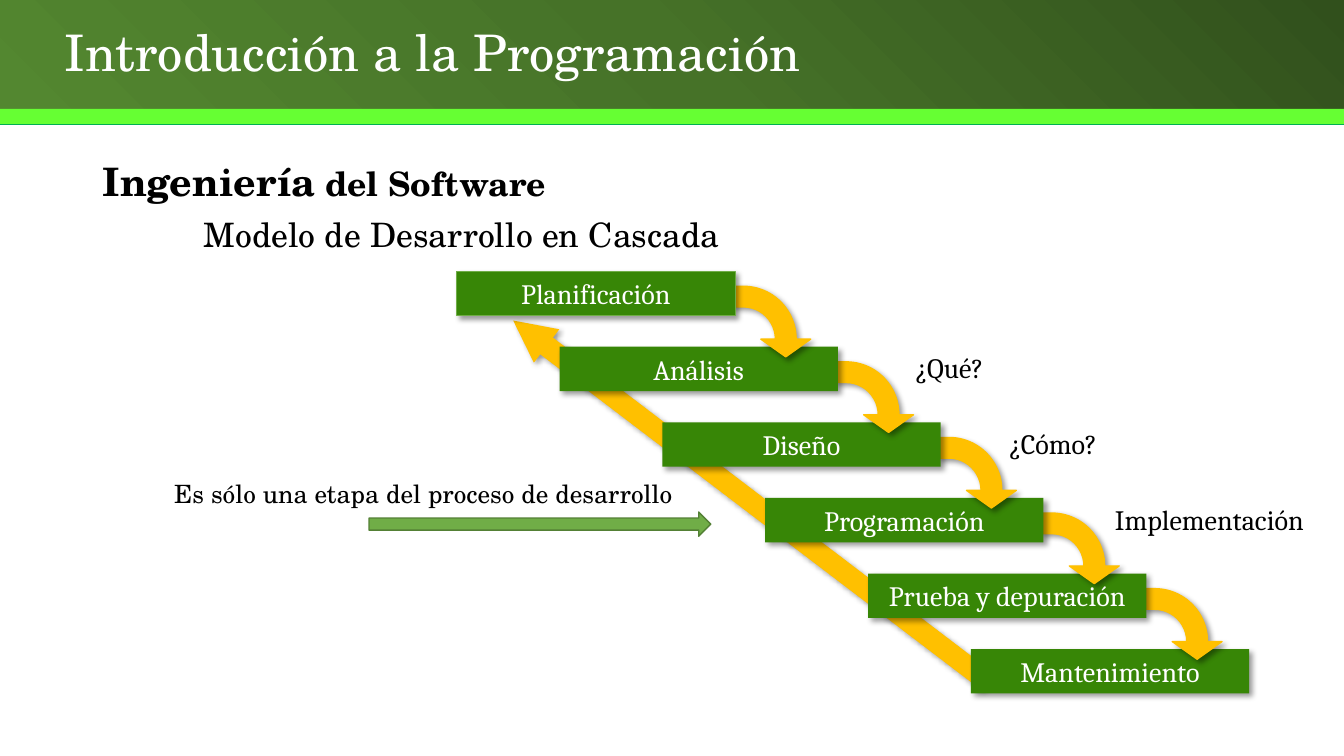
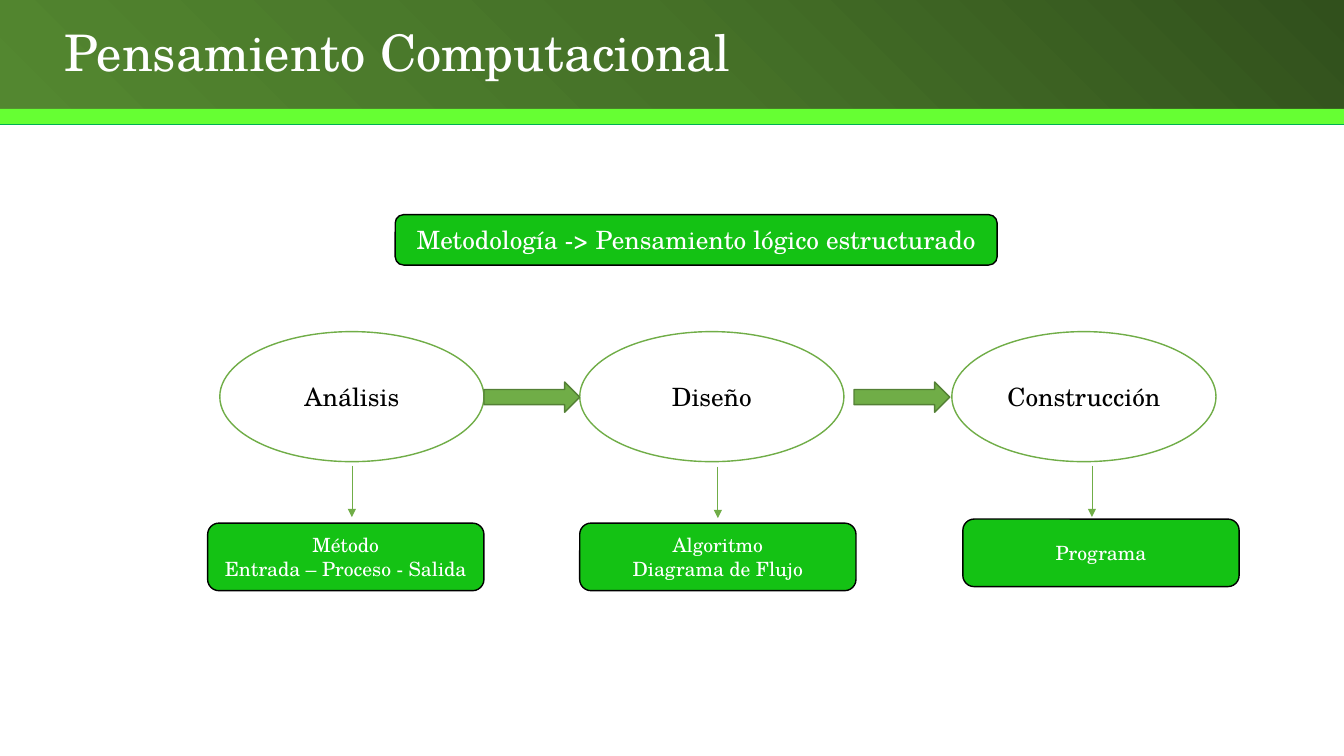
from lxml import etree
from pptx import Presentation
from pptx.dml.color import RGBColor
from pptx.enum.shapes import MSO_CONNECTOR, MSO_SHAPE
from pptx.enum.text import MSO_ANCHOR, MSO_AUTO_SIZE, PP_ALIGN
from pptx.oxml.ns import qn
from pptx.util import Inches, Pt

RECTANGLE = MSO_SHAPE.RECTANGLE
ROUNDED = MSO_SHAPE.ROUNDED_RECTANGLE
ELLIPSE = MSO_SHAPE.OVAL
RIGHT_ARROW = MSO_SHAPE.RIGHT_ARROW
BENT_ARROW = MSO_SHAPE.BENT_ARROW
STRAIGHT = MSO_CONNECTOR.STRAIGHT
LEFT, CENTER = PP_ALIGN.LEFT, PP_ALIGN.CENTER
MIDDLE = MSO_ANCHOR.MIDDLE
NO_AUTOFIT = MSO_AUTO_SIZE.NONE

BLACK = RGBColor(0x00, 0x00, 0x00)
WHITE = RGBColor(0xFF, 0xFF, 0xFF)
LIME = RGBColor(0x66, 0xFF, 0x33)
EMERALD = RGBColor(0x00, 0xB0, 0x50)
STAGE_GREEN = RGBColor(0x37, 0x86, 0x06)
BOX_GREEN = RGBColor(0x14, 0xC2, 0x14)
LEAF = RGBColor(0x70, 0xAD, 0x47)
LEAF_DARK = RGBColor(0x53, 0x80, 0x35)
AMBER = RGBColor(0xFF, 0xC0, 0x00)
HEADER_STOPS = (
    (0, RGBColor(0x31, 0x50, 0x1C)),
    (50, RGBColor(0x46, 0x72, 0x28)),
    (100, RGBColor(0x53, 0x87, 0x30)),
)

SERIF = "TeX Gyre Schola"
STAGE_FONT = "Cambria"


def write_text(paragraph, text, size=18, color=BLACK, font=SERIF, bold=False,
               align=LEFT, spacing=None, before=None, indent=0):
    """Append a formatted run to a paragraph."""
    paragraph.alignment = align
    if spacing:
        paragraph.line_spacing = spacing
    if before:
        paragraph.space_before = Pt(before)
    if indent:
        paragraph._p.get_or_add_pPr().set("marL", str(Inches(indent)))
    run = paragraph.add_run()
    run.text = text
    run.font.name = font
    run.font.size = Pt(size)
    run.font.bold = bold
    run.font.color.rgb = color


def add_color(parent, color):
    """Add an RGB colour element to an XML parent."""
    return etree.SubElement(parent, qn("a:srgbClr"), val=str(color))


def add_shadow(effects):
    """Put a soft diagonal shadow in an effect list."""
    shadow = etree.SubElement(
        effects, qn("a:outerShdw"), blurRad=str(Pt(4)), dist=str(Pt(3)),
        dir=str(45 * 60000), algn="tl", rotWithShape="0")
    etree.SubElement(add_color(shadow, BLACK), qn("a:alpha"), val="40000")


class Deck:
    """Hold the shared style and the current slide."""

    def __init__(self):
        """Create an empty widescreen presentation."""
        self.presentation = Presentation()
        self.presentation.slide_width = Inches(13.33)
        self.presentation.slide_height = Inches(7.5)
        self.layout = self.presentation.slide_layouts[5]
        self.slide = None

    def start_slide(self, title):
        """Add a slide with its title, drawing the shared bands once."""
        first = self.slide is None
        self.slide = self.presentation.slides.add_slide(self.layout)
        if first:
            self.add_layout_bands()
        shape = self.slide.shapes.title
        shape.left, shape.top = Inches(0.54), Inches(0.27)
        shape.width, shape.height = Inches(10.9), Inches(0.55)
        frame = shape.text_frame
        frame.auto_size = NO_AUTOFIT
        frame.vertical_anchor = MIDDLE
        write_text(frame.paragraphs[0], title, size=36, color=WHITE, spacing=0.9)

    def add_layout_bands(self):
        """Place the header and its accent bands on the layout."""
        header = self.add_shape(RECTANGLE, 0, 0, 13.33, 1.09, WHITE)
        header.fill.gradient()
        header.fill.gradient_angle = 225
        stops = header.element.spPr.find(f".//{qn('a:gsLst')}")
        stops.clear()
        for position, color in HEADER_STOPS:
            stop = etree.SubElement(stops, qn("a:gs"), pos=str(position * 1000))
            add_color(stop, color)
        bands = [header,
                 self.add_shape(RECTANGLE, 0, 1.09, 13.33, 0.15, EMERALD),
                 self.add_shape(RECTANGLE, 0, 1.08, 13.33, 0.15, LIME)]
        for index, band in enumerate(bands, start=2):
            self.layout.shapes.element.insert(index, band.element)

    def add_shape(self, kind, left, top, width, height, fill, line=None,
                  line_width=1, shadow=False, lines=(), wrap=True, **text_format):
        """Add a filled preset shape with optional centred lines of text."""
        shape = self.slide.shapes.add_shape(
            kind, Inches(left), Inches(top), Inches(width), Inches(height))
        shape.shadow.inherit = False
        if shadow:
            add_shadow(shape.element.spPr.find(qn("a:effectLst")))
        shape.fill.solid()
        shape.fill.fore_color.rgb = fill
        if line is None:
            shape.line.fill.background()
        else:
            shape.line.color.rgb = line
            shape.line.width = Pt(line_width)
        frame = shape.text_frame
        frame.word_wrap = wrap
        frame.vertical_anchor = MIDDLE
        for index, text in enumerate(lines):
            paragraph = frame.add_paragraph() if index else frame.paragraphs[0]
            write_text(paragraph, text, align=CENTER, **text_format)
        return shape

    def add_text_box(self, left, top, width, height, wrap=True):
        """Add an empty text box and return its text frame."""
        frame = self.slide.shapes.add_textbox(
            Inches(left), Inches(top), Inches(width), Inches(height)).text_frame
        frame.word_wrap = wrap
        return frame

    def add_arrow(self, start, end, color, width, head="med", shadow=False):
        """Add a straight line ending in a triangle."""
        connector = self.slide.shapes.add_connector(
            STRAIGHT, *(Inches(value) for value in (*start, *end)))
        connector.line.color.rgb = color
        connector.line.width = Pt(width)
        properties = connector.element.spPr
        etree.SubElement(properties.find(qn("a:ln")), qn("a:tailEnd"),
                         type="triangle", w=head, len=head)
        effects = etree.SubElement(properties, qn("a:effectLst"))
        if shadow:
            add_shadow(effects)

    def add_block_arrow(self, left, top, width, height):
        """Add a green block arrow pointing right."""
        self.add_shape(RIGHT_ARROW, left, top, width, height, LEAF, LEAF_DARK)

    def add_stage(self, left, top, name, first):
        """Add a cascade stage and the bent arrow that leads into it."""
        self.add_shape(RECTANGLE, left, top, 2.76, 0.44, STAGE_GREEN,
                       line=LEAF if first else None, line_width=0.5, shadow=True,
                       lines=[name], wrap=False, size=20, color=WHITE,
                       font=STAGE_FONT)
        if not first:
            arrow = self.add_shape(BENT_ARROW, left + 1.75, top - 0.64, 0.7, 0.78,
                                   AMBER, AMBER, shadow=True)
            arrow.rotation = 90
            for index, value in enumerate((0.293, 0.353, 0.25, 0.749)):
                arrow.adjustments[index] = value

    def add_green_box(self, left, top, width, height, lines, size):
        """Add a rounded green box with white text."""
        self.add_shape(ROUNDED, left, top, width, height, BOX_GREEN, BLACK,
                       lines=lines, size=size, color=WHITE)


def build_cascade(deck):
    """Build the waterfall model slide."""
    deck.start_slide("Introducción a la Programación")
    frame = deck.add_text_box(0.92, 1.56, 8.48, 0.99)
    heading = frame.paragraphs[0]
    write_text(heading, "Ingeniería", size=28, bold=True, spacing=0.9, before=10)
    write_text(heading, " del Software", size=24, bold=True)
    write_text(frame.add_paragraph(), "Modelo de Desarrollo en Cascada", size=24,
               spacing=0.9, before=10, indent=1)

    deck.add_arrow((9.78, 6.75), (5.09, 3.18), AMBER, 15, head="sm", shadow=True)
    stages = ("Planificación", "Análisis", "Diseño", "Programación",
              "Prueba y depuración", "Mantenimiento")
    for index, name in reversed(list(enumerate(stages))):
        deck.add_stage(4.53 + 1.02 * index, 2.69 + 0.75 * index, name, index == 0)

    labels = (("¿Qué?", 8.98, 0.92), ("¿Cómo?", 9.91, 1.13),
              ("Implementación", 10.96, 2.16))
    for index, (text, left, width) in enumerate(labels):
        frame = deck.add_text_box(left, 3.47 + 0.75 * index, width, 0.4, wrap=False)
        write_text(frame.paragraphs[0], text, size=20, font=STAGE_FONT, spacing=0.9)

    deck.add_block_arrow(3.66, 5.08, 3.39, 0.24)
    frame = deck.add_text_box(1.63, 4.7, 6.67, 0.4)
    write_text(frame.paragraphs[0], "Es sólo una etapa del proceso de desarrollo")


def build_thinking(deck):
    """Build the computational thinking slide."""
    deck.start_slide("Pensamiento Computacional")
    deck.add_green_box(3.92, 2.13, 5.97, 0.5,
                       ["Metodología -> Pensamiento lógico estructurado"], 18)
    phases = (
        ("Análisis", 2.18, 3.49, 4.62, 2.06, 5.19,
         ["Método", "Entrada – Proceso - Salida"]),
        ("Diseño", 5.75, 7.12, 4.63, 5.75, 5.19,
         ["Algoritmo", "Diagrama de Flujo"]),
        ("Construcción", 9.44, 10.83, 4.62, 9.55, 5.15, ["Programa"]),
    )
    for name, left, arrow_x, arrow_y, box_left, box_top, lines in phases:
        deck.add_shape(ELLIPSE, left, 3.29, 2.62, 1.29, WHITE, LEAF, lines=[name])
        deck.add_green_box(box_left, box_top, 2.74, 0.67, lines, 14)
        deck.add_arrow((arrow_x, arrow_y), (arrow_x, arrow_y + 0.51), LEAF, 0.5)
    for left in (4.8, 8.47):
        deck.add_block_arrow(left, 3.79, 0.95, 0.3)


def main():
    """Build and save the presentation."""
    deck = Deck()
    build_cascade(deck)
    build_thinking(deck)
    deck.presentation.save("out.pptx")


if __name__ == "__main__":
    main()
